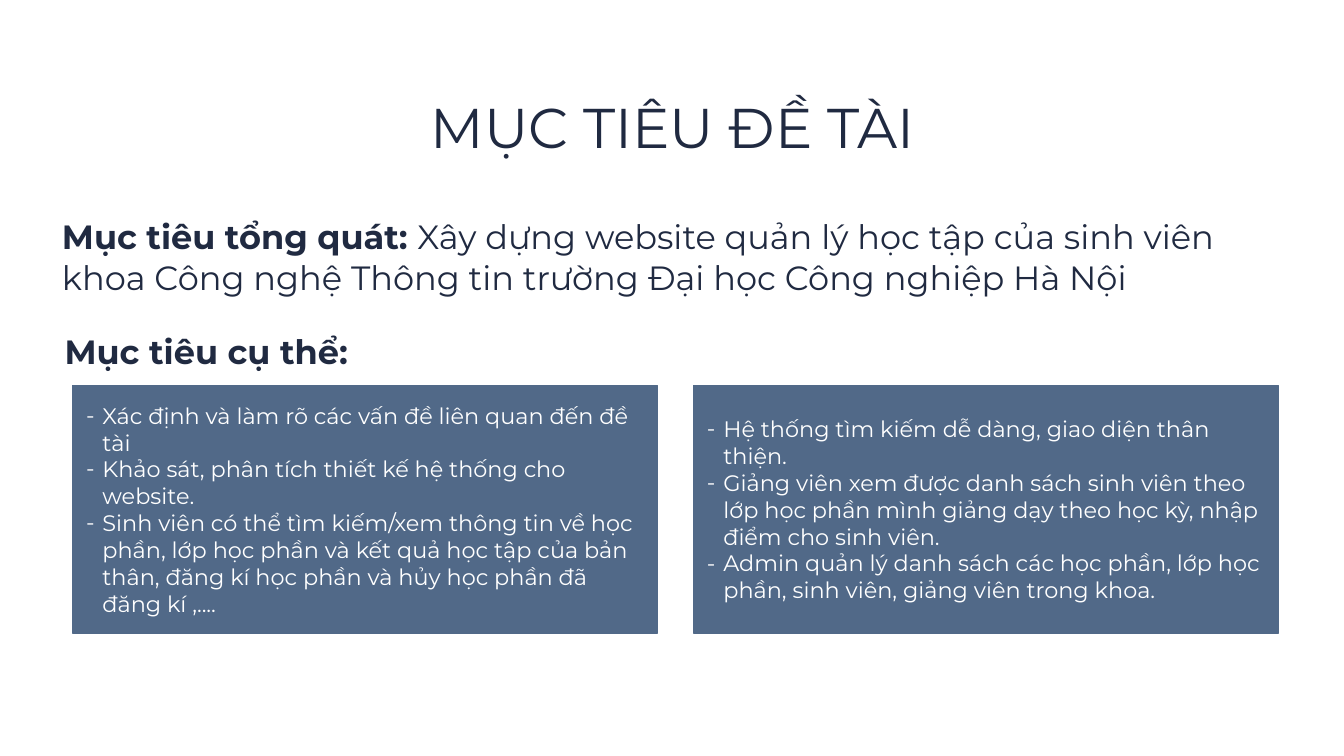
"""Build the project objectives slide."""
from dataclasses import dataclass

from lxml import etree
from pptx import Presentation
from pptx.dml.color import RGBColor
from pptx.enum.text import MSO_ANCHOR, MSO_AUTO_SIZE, PP_ALIGN
from pptx.oxml.ns import qn
from pptx.util import Pt

TOP, MIDDLE = MSO_ANCHOR.TOP, MSO_ANCHOR.MIDDLE
LEFT, CENTER = PP_ALIGN.LEFT, PP_ALIGN.CENTER
NO_FIT = MSO_AUTO_SIZE.NONE
FONT = "Montserrat"
NAVY, STEEL, WHITE = "202A41", "516988", "FFFFFF"
COMPARISON = 4
INSET = 7.2


@dataclass
class Run:
    text: str
    bold: bool = False


@dataclass
class Heading:
    idx: int
    box: tuple[float, float, float, float]
    size: float
    align: PP_ALIGN
    runs: list[Run]


@dataclass
class Panel:
    idx: int
    left: float
    items: list[str]


HEADINGS = [
    Heading(0, (56.9, 42.5, 607, 45.4), 30, CENTER, [Run("MỤC TIÊU ĐỀ TÀI")]),
    Heading(1, (26, 108.7, 666, 55.4), 18, LEFT, [
        Run("Mục tiêu tổng quát: ", True),
        Run("Xây dựng website quản lý học tập của sinh viên khoa Công nghệ "
            "Thông tin trường Đại học Công nghiệp Hà Nội"),
    ]),
    Heading(3, (27.4, 169.9, 666, 55.4), 18, LEFT, [Run("Mục tiêu cụ thể:", True)]),
]
PANEL_TOP, PANEL_W, PANEL_H = 206.6, 313.4, 132.5
PANELS = [
    Panel(2, 38.9, [
        "Xác định và làm rõ các vấn đề liên quan đến đề tài",
        "Khảo sát, phân tích thiết kế hệ thống cho website.",
        "Sinh viên có thể tìm kiếm/xem thông tin về học phần, lớp học phần và "
        "kết quả học tập của bản thân, đăng kí học phần và hủy học phần đã "
        "đăng kí ,....",
    ]),
    Panel(4, 371.5, [
        "Hệ thống tìm kiếm dễ dàng, giao diện thân thiện.",
        "Giảng viên xem được danh sách sinh viên theo lớp học phần mình giảng "
        "dạy theo học kỳ, nhập điểm cho sinh viên.",
        "Admin quản lý danh sách các học phần, lớp học phần, sinh viên, giảng "
        "viên trong khoa.",
    ]),
]


def rgb(value: str) -> RGBColor:
    """Turn a hex string into a colour."""
    return RGBColor.from_string(value)


def place(sp, box: tuple[float, float, float, float], anchor: MSO_ANCHOR):
    """Move a placeholder and return its prepared text frame."""
    sp.left, sp.top, sp.width, sp.height = map(Pt, box)
    tf = sp.text_frame
    tf.word_wrap = True
    tf.auto_size = NO_FIT
    tf.vertical_anchor = anchor
    tf.margin_left = tf.margin_right = Pt(INSET)
    tf.margin_top = tf.margin_bottom = Pt(INSET)
    return tf


def add_run(p, run: Run, size: float, color: str) -> None:
    """Add one formatted run to a paragraph."""
    r = p.add_run()
    r.text = run.text
    r.font.name = FONT
    r.font.size = Pt(size)
    r.font.bold = run.bold
    r.font.color.rgb = rgb(color)


def add_dash(p) -> None:
    """Give a paragraph a white dash with a hanging indent."""
    pPr = p._p.get_or_add_pPr()
    pPr.set("marL", str(Pt(8.8)))
    pPr.set("indent", str(-Pt(10.8)))
    clr = etree.SubElement(pPr, qn("a:buClr"))
    etree.SubElement(clr, qn("a:srgbClr"), val=WHITE)
    etree.SubElement(pPr, qn("a:buFont"), typeface=FONT)
    etree.SubElement(pPr, qn("a:buChar"), char="-")


def draw_heading(sp, heading: Heading) -> None:
    """Fill a placeholder with a heading."""
    p = place(sp, heading.box, TOP).paragraphs[0]
    p.alignment = heading.align
    p.space_before = Pt(0)
    for run in heading.runs:
        add_run(p, run, heading.size, NAVY)


def draw_panel(sp, panel: Panel) -> None:
    """Fill a placeholder with a coloured list panel."""
    tf = place(sp, (panel.left, PANEL_TOP, PANEL_W, PANEL_H), MIDDLE)
    sp.fill.solid()
    sp.fill.fore_color.rgb = rgb(STEEL)
    sp.line.color.rgb = rgb(STEEL)
    sp.line.width = Pt(0.75)
    for i, item in enumerate(panel.items):
        p = tf.add_paragraph() if i else tf.paragraphs[0]
        add_dash(p)
        p.alignment = LEFT
        p.space_before = Pt(0)
        add_run(p, Run(item), 12, WHITE)


def main() -> None:
    """Create and save the presentation."""
    prs = Presentation()
    prs.slide_width, prs.slide_height = Pt(720), Pt(405)
    slide = prs.slides.add_slide(prs.slide_layouts[COMPARISON])
    holders = {sp.placeholder_format.idx: sp for sp in slide.placeholders}
    for heading in HEADINGS:
        draw_heading(holders[heading.idx], heading)
    for panel in PANELS:
        draw_panel(holders[panel.idx], panel)
    prs.save("out.pptx")


if __name__ == "__main__":
    main()
